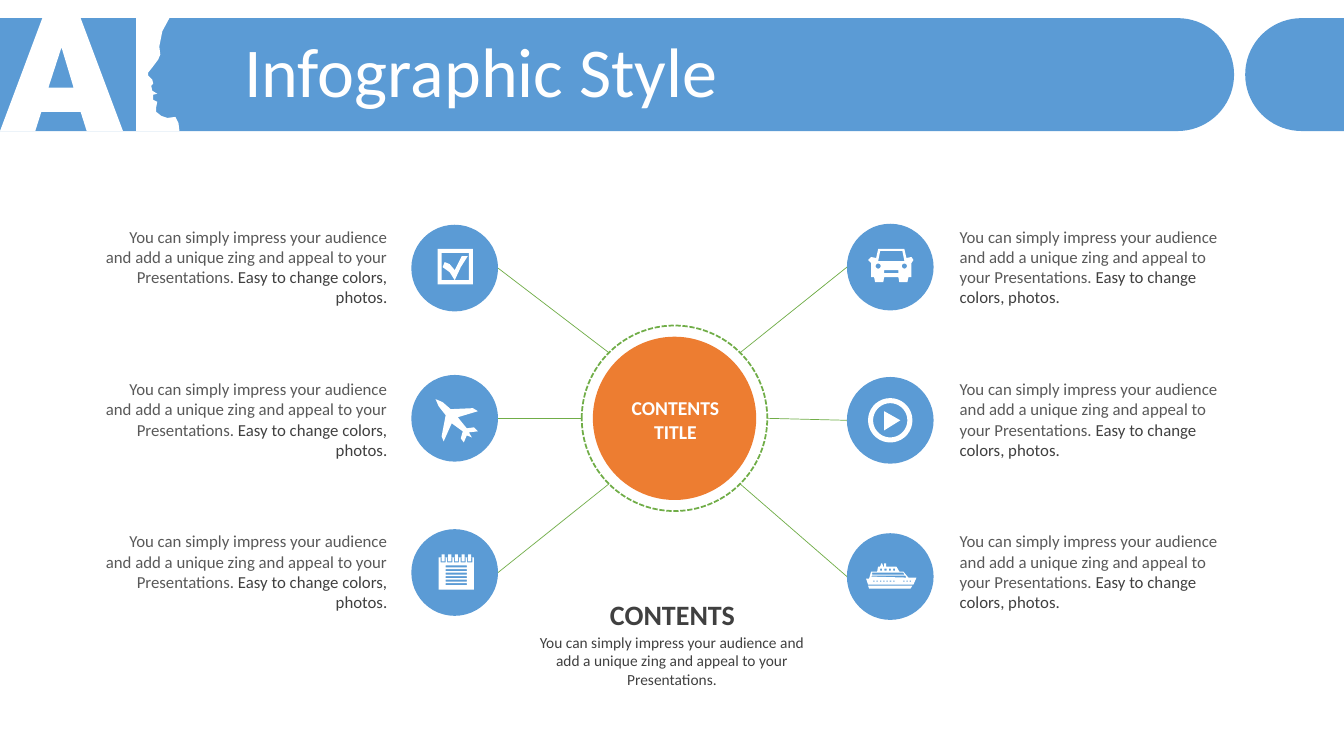
from dataclasses import dataclass
from math import cos, radians, sin

from lxml import etree
from pptx import Presentation
from pptx.dml.color import RGBColor
from pptx.enum import dml, shapes, text
from pptx.oxml import ns
from pptx.util import Inches, Pt


@dataclass(frozen=True)
class Theme:
    """Colours, font and type sizes of the slide."""
    font: str = "Calibri"
    blue: str = "5B9BD5"
    orange: str = "ED7D31"
    green: str = "70AD47"
    white: str = "FFFFFF"
    grey: str = "595959"
    dark: str = "404040"
    title: int = 50
    heading: int = 20
    hub: int = 14
    detail: int = 12
    caption: int = 11


THEME = Theme()
PITCH = "You can simply impress your audience and add a unique zing and appeal to your Presentations."
OFFER = " Easy to change colors, photos."
HUB_X, HUB_Y, HUB_R, RING_R = 6.69, 4.15, 0.81, 0.92
ICON_R = 0.43
TEXT_TOP, TEXT_STEP = 2.2, 1.51


def rgb(color):
    """Turn a hex string into a colour."""
    return RGBColor.from_string(color)


def box(left, top, width, height):
    """Return the corners of a rectangle."""
    return [(left, top), (left + width, top),
            (left + width, top + height), (left, top + height)]


def arc(x, y, radius, start=0, end=360, steps=36):
    """Return points along an arc, clockwise from three o'clock."""
    angles = [radians(start + (end - start) * i / steps) for i in range(steps + 1)]
    return [(x + radius * cos(a), y + radius * sin(a)) for a in angles]


def add_outline(slide, contours, color):
    """Fill one freeform made of closed contours; inner contours are holes."""
    outlines = [[(Inches(x), Inches(y)) for x, y in points] for points in contours]
    builder = slide.shapes.build_freeform(*outlines[0][0])
    for index, points in enumerate(outlines):
        if index:
            builder.move_to(*points[0])
        builder.add_line_segments(points[1:], close=True)
    outline = builder.convert_to_shape()
    outline.fill.solid()
    outline.fill.fore_color.rgb = rgb(color)
    outline.line.fill.background()
    outline.shadow.inherit = False


def add_circle(slide, x, y, radius, fill=None, line=None):
    """Add a circle around a centre, filled or with a dashed line."""
    circle = slide.shapes.add_shape(
        shapes.MSO_SHAPE.OVAL, Inches(x - radius), Inches(y - radius),
        Inches(2 * radius), Inches(2 * radius))
    circle.shadow.inherit = False
    if fill:
        circle.fill.solid()
        circle.fill.fore_color.rgb = rgb(fill)
    else:
        circle.fill.background()
    if line:
        circle.line.color.rgb = rgb(line)
        circle.line.width = Pt(1.25)
        circle.line.dash_style = dml.MSO_LINE.SQUARE_DOT
    else:
        circle.line.fill.background()


def add_spoke(slide, start, end):
    """Add a thin line from an icon to the ring."""
    spoke = slide.shapes.add_connector(
        shapes.MSO_CONNECTOR.STRAIGHT, *(Inches(v) for v in (*start, *end)))
    spoke.line.color.rgb = rgb(THEME.green)
    spoke.line.width = Pt(0.5)
    etree.SubElement(spoke.element.spPr, ns.qn("a:effectLst"))


def style_run(run, size, color, bold=False):
    """Set the font of a run."""
    run.font.name = THEME.font
    run.font.size = Pt(size)
    run.font.bold = bold
    run.font.color.rgb = rgb(color)


def add_text(slide, at, wording, size, color, align, bold=False, inset=True):
    """Add a wrapping text box and return its last paragraph."""
    frame = slide.shapes.add_textbox(*(Inches(v) for v in at)).text_frame
    frame.word_wrap = True
    frame.auto_size = text.MSO_AUTO_SIZE.SHAPE_TO_FIT_TEXT
    if not inset:
        frame.margin_left = frame.margin_right = 0
        frame.margin_top = frame.margin_bottom = 0
    frame.text = wording
    for paragraph in frame.paragraphs:
        paragraph.alignment = align
        style_run(paragraph.runs[0], size, color, bold)
    return frame.paragraphs[-1]


def add_detail(slide, left, top, width, align):
    """Add a two-tone description beside an icon."""
    paragraph = add_text(slide, (left, top, width, 0.91), PITCH,
                         THEME.detail, THEME.grey, align)
    offer = paragraph.add_run()
    offer.text = OFFER
    style_run(offer, THEME.detail, THEME.dark)


def add_banner(slide):
    """Draw the header band with its emblem and put the title on it."""
    band = [(0, 0.18), *arc(11.68, 0.74, 0.56, -90, 90), (0, 1.3)]
    tab = [(13.33, 0.18), (13.33, 1.3), *arc(12.91, 0.74, 0.56, 90, 270)]
    letter = [(0.42, 0.18), (0.8, 0.18), (1.22, 1.3), (0.86, 1.3),
              (0.8, 1.11), (0.41, 1.11), (0.35, 1.3), (0, 1.3)]
    counter = [(0.61, 0.47), (0.48, 0.87), (0.73, 0.87)]
    profile = [(1.35, 0.18), (1.68, 0.18), (1.61, 0.31), (1.58, 0.46), (1.59, 0.54),
               (1.57, 0.59), (1.51, 0.67), (1.47, 0.72), (1.47, 0.75), (1.51, 0.79),
               (1.52, 0.83), (1.5, 0.85), (1.51, 0.9), (1.56, 0.93), (1.52, 0.94),
               (1.52, 0.99), (1.56, 1.01), (1.55, 1.06), (1.55, 1.11), (1.6, 1.15),
               (1.66, 1.17), (1.74, 1.16), (1.77, 1.22), (1.78, 1.3), (1.35, 1.3)]
    add_outline(slide, [band], THEME.blue)
    add_outline(slide, [letter, counter, profile], THEME.white)
    add_outline(slide, [tab], THEME.blue)
    title = slide.shapes.title
    title.left, title.top, title.width, title.height = (
        Inches(v) for v in (2.32, 0.37, 10.69, 0.79))
    title.text_frame.text = "Infographic Style"
    title.text_frame.vertical_anchor = text.MSO_ANCHOR.MIDDLE
    title.text_frame.auto_size = text.MSO_AUTO_SIZE.NONE
    heading = title.text_frame.paragraphs[0]
    heading.alignment = text.PP_ALIGN.LEFT
    heading.line_spacing = 0.8
    heading.space_before = Pt(10)
    style_run(heading.runs[0], THEME.title, THEME.white)
    slide.shapes.element.append(title.element)


def icon_outlines():
    """Return the contours of the icons, left column then right column."""
    check = [box(4.34, 2.47, 0.35, 0.35), box(4.38, 2.51, 0.27, 0.27),
             [(4.39, 2.65), (4.41, 2.6), (4.46, 2.62), (4.51, 2.68), (4.58, 2.54),
              (4.64, 2.54), (4.57, 2.65), (4.51, 2.78), (4.46, 2.7)]]
    plane = [[(4.74, 4.28), (4.65, 4.29), (4.68, 4.34), (4.63, 4.32), (4.6, 4.39),
              (4.57, 4.35), (4.59, 4.28), (4.48, 4.2), (4.4, 4.38), (4.38, 4.33),
              (4.42, 4.12), (4.35, 4.03), (4.32, 3.96), (4.39, 3.99), (4.47, 4.06),
              (4.69, 4.05), (4.74, 4.08), (4.54, 4.14), (4.63, 4.25), (4.7, 4.24)]]
    notepad = [box(4.35, 5.53, 0.35, 0.32)]
    notepad += [box(4.42, 5.61 + 0.035 * i, 0.21, 0.02) for i in range(6)]
    for i in range(5):
        notepad += [box(4.37 + 0.066 * i, 5.53, 0.05, 0.05),
                    box(4.38 + 0.066 * i, 5.5, 0.03, 0.07)]
    car = [[(8.71, 2.47), (8.97, 2.47), (8.99, 2.56), (9.04, 2.55), (9.06, 2.58),
            (9.04, 2.61), (9.04, 2.75), (9.01, 2.75), (9.0, 2.8), (8.92, 2.8),
            (8.91, 2.75), (8.77, 2.75), (8.76, 2.8), (8.68, 2.8), (8.67, 2.75),
            (8.64, 2.75), (8.64, 2.61), (8.61, 2.58), (8.64, 2.55), (8.69, 2.56)],
           [(8.73, 2.49), (8.71, 2.59), (8.97, 2.59), (8.95, 2.49)],
           box(8.77, 2.68, 0.14, 0.03), arc(8.71, 2.64, 0.025), arc(8.97, 2.64, 0.025)]
    play = [arc(8.83, 4.17, 0.22), arc(8.83, 4.17, 0.17),
            [(8.77, 4.08), (8.93, 4.17), (8.77, 4.27)]]
    ship = [[(8.61, 5.81), (9.05, 5.81), (9.03, 5.84), (8.62, 5.84)],
            [(8.77, 5.59), (8.79, 5.59), (8.79, 5.62), (8.89, 5.62), (8.92, 5.67),
             (8.96, 5.67), (9.01, 5.73), (9.09, 5.73), (9.06, 5.8), (8.61, 5.8),
             (8.59, 5.74), (8.62, 5.74), (8.64, 5.67), (8.7, 5.67), (8.71, 5.62),
             (8.73, 5.62), (8.74, 5.59), (8.75, 5.59), (8.76, 5.62), (8.77, 5.62)],
            [(8.65, 5.71), (8.64, 5.72), (8.99, 5.73), (8.98, 5.71)],
            [(8.65, 5.68), (8.65, 5.7), (8.97, 5.7), (8.96, 5.68)]]
    ship += [box(8.66 + 0.033 * i, 5.76, 0.015, 0.01) for i in range(12) if i not in (7, 8)]
    ship += [box(8.73 + 0.043 * i, 5.64, 0.02, 0.02) for i in range(4)]
    return check, plane, notepad, car, play, ship


def add_branches(slide):
    """Add the icon circles, their spokes and their descriptions."""
    columns = [(-1, 4.51, (2.66, 4.15, 5.68), 0.95, 2.99, text.PP_ALIGN.RIGHT),
               (1, 8.83, (2.65, 4.17, 5.72), 9.42, 2.97, text.PP_ALIGN.LEFT)]
    for side, x, centres, text_left, text_width, align in columns:
        for row, y in enumerate(centres):
            angle = radians(45 * (row - 1))
            ring_end = (HUB_X + side * RING_R * cos(angle), HUB_Y + RING_R * sin(angle))
            add_detail(slide, text_left, TEXT_TOP + TEXT_STEP * row, text_width, align)
            add_circle(slide, x, y, ICON_R, fill=THEME.blue)
            add_spoke(slide, (x - side * ICON_R, y), ring_end)
    for contours in icon_outlines():
        add_outline(slide, contours, THEME.white)


def add_hub(slide):
    """Add the central disc, its dashed ring and the texts around it."""
    center = text.PP_ALIGN.CENTER
    add_circle(slide, HUB_X, HUB_Y, HUB_R, fill=THEME.orange)
    add_circle(slide, HUB_X, HUB_Y, RING_R, line=THEME.green)
    add_text(slide, (5.92, 3.88, 1.56, 0.57), "CONTENTS\nTITLE",
             THEME.hub, THEME.white, center, bold=True)
    add_text(slide, (5.28, 5.93, 2.78, 0.34), "CONTENTS",
             THEME.heading, THEME.dark, center, bold=True, inset=False)
    add_text(slide, (5.29, 6.28, 2.75, 0.56), PITCH,
             THEME.caption, THEME.dark, center, inset=False)


def main():
    """Build the slide and save it."""
    deck = Presentation()
    deck.slide_width, deck.slide_height = Inches(13.33), Inches(7.5)
    slide = deck.slides.add_slide(deck.slide_layouts[5])
    add_banner(slide)
    add_branches(slide)
    add_hub(slide)
    deck.save("out.pptx")


if __name__ == "__main__":
    main()
